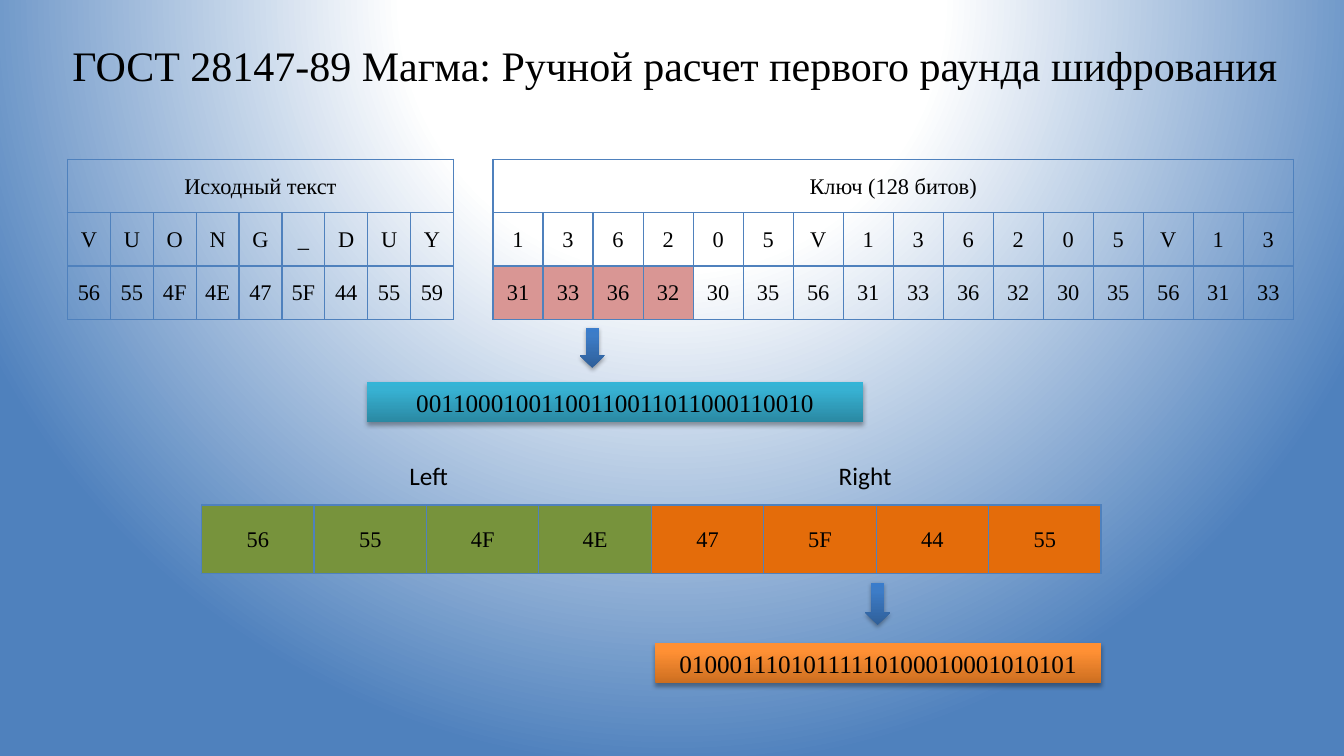
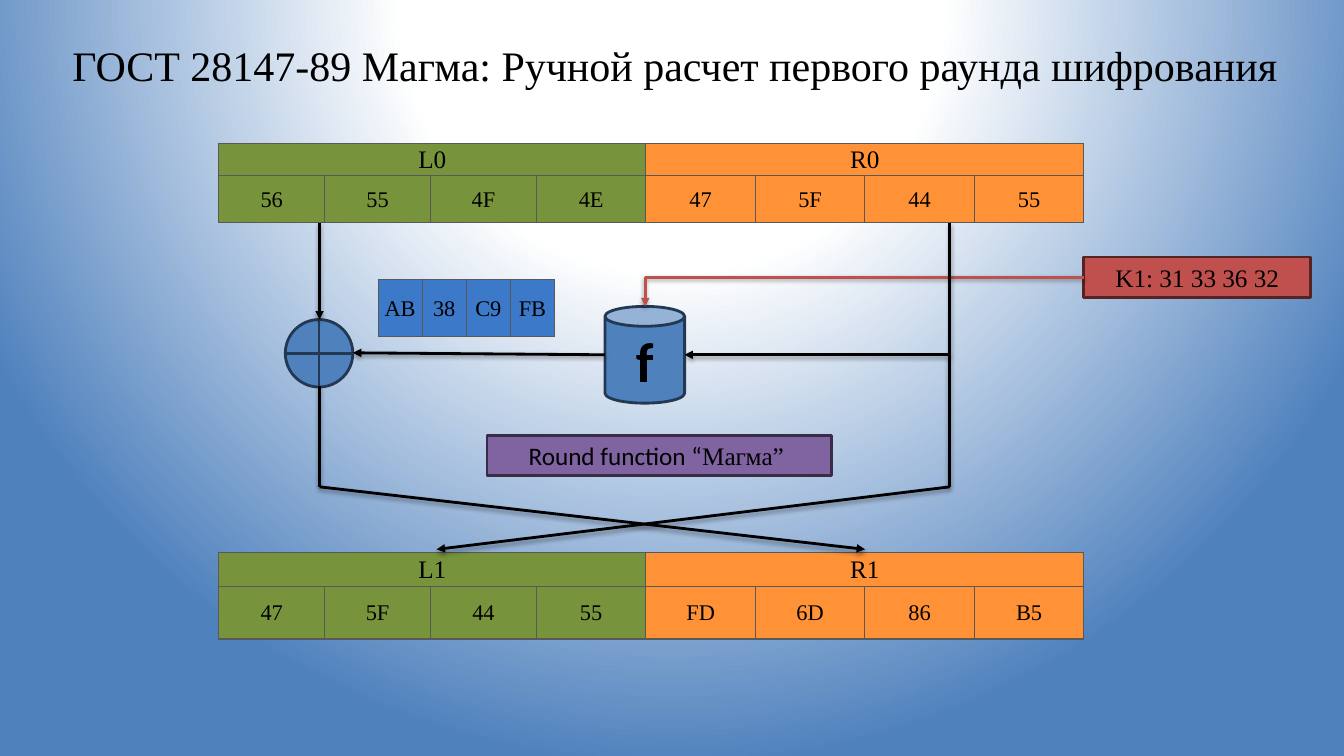
from dataclasses import dataclass

from lxml import etree
from pptx import Presentation, util as u
from pptx.dml.color import RGBColor
from pptx.enum import shapes as sh, text as tx
from pptx.oxml import ns

BLACK = RGBColor(0x00, 0x00, 0x00)
WHITE = RGBColor(0xFF, 0xFF, 0xFF)
BLUE = RGBColor(0x4F, 0x81, 0xBD)
NAVY = RGBColor(0x23, 0x39, 0x53)
AZURE = RGBColor(0x3C, 0x7A, 0xC9)
GRAY = RGBColor(0x59, 0x59, 0x59)
GREEN = RGBColor(0x77, 0x93, 0x3C)
RUST = RGBColor(0xE4, 0x6C, 0x0A)
ORANGE = RGBColor(0xFF, 0x91, 0x36)
PINK = RGBColor(0xD9, 0x96, 0x94)
RED = RGBColor(0xC0, 0x50, 0x4D)
MAROON = RGBColor(0x54, 0x23, 0x22)
PURPLE = RGBColor(0x80, 0x64, 0xA2)
PLUM = RGBColor(0x38, 0x2C, 0x47)

SKY_FADE = ((0, WHITE), (35, WHITE), (100, BLUE))
BLUE_FADE = ((0, RGBColor(0x2F, 0x5F, 0x99)), (80, RGBColor(0x3D, 0x7C, 0xC7)),
             (100, RGBColor(0x3A, 0x7C, 0xCB)))
TEAL_FADE = ((0, RGBColor(0x2A, 0x88, 0xA2)), (80, RGBColor(0x37, 0xB1, 0xD2)),
             (100, RGBColor(0x34, 0xB4, 0xD6)))
WARM_FADE = ((0, RGBColor(0xCC, 0x6E, 0x20)), (80, RGBColor(0xFF, 0x90, 0x34)),
             (100, ORANGE))

SERIF = "Times New Roman"
SANS = "Calibri"
TITLE = "ГОСТ 28147-89 Магма: Ручной расчет первого раунда шифрования "
RECT = sh.MSO_SHAPE.RECTANGLE
DOWN = sh.MSO_SHAPE.DOWN_ARROW


@dataclass
class Row:
    """One table row; its texts share the columns equally."""
    texts: list[str]
    height: float
    fills: list[RGBColor | None]
    size: int = 16


@dataclass
class Grid:
    left: float
    top: float
    widths: list[float]
    rows: list[Row]
    edge: RGBColor


@dataclass
class Box:
    kind: sh.MSO_SHAPE
    left: float
    top: float
    width: float
    height: float
    fill: RGBColor | tuple
    edge: RGBColor | None = None
    text: str = ""
    size: int = 18
    face: str = SERIF
    bold: bool = False


@dataclass
class Wire:
    start: tuple[float, float]
    end: tuple[float, float]
    head: bool = True
    color: RGBColor = BLACK
    bend: str = ""


def add(node, tag: str, **attrs):
    return etree.SubElement(node, ns.qn(tag), {k: str(v) for k, v in attrs.items()})


def fade(fill, root, stops: tuple, round_: bool = False) -> None:
    """Give a fill several stops, rising from the bottom or round a far centre."""
    fill.gradient()
    node = root.find(".//" + ns.qn("a:gradFill"))
    node.clear()
    node.set("rotWithShape", "1")
    group = add(node, "a:gsLst")
    for place, color in stops:
        add(add(group, "a:gs", pos=place * 1000), "a:srgbClr", val=color)
    if round_:
        add(add(node, "a:path", path="circle"), "a:fillToRect",
            l=50000, t=-80000, r=50000, b=180000)
    else:
        add(node, "a:lin", ang=16200000, scaled=0)


def cast(props, alpha: int, drop: int) -> None:
    """Put a soft shadow below; call it after fill and line are set."""
    shade = add(add(props, "a:effectLst"), "a:outerShdw", blurRad=40000,
                dist=drop, dir=5400000, rotWithShape=0)
    add(add(shade, "a:srgbClr", val=BLACK), "a:alpha", val=alpha * 1000)


def style(run, size: int, face: str, bold: bool = False) -> None:
    run.font.size = u.Pt(size)
    run.font.name = face
    run.font.bold = bold
    run.font.color.rgb = BLACK


def write(frame, text: str, size: int, face: str = SERIF, bold: bool = False) -> None:
    frame.text = text
    line = frame.paragraphs[0]
    line.alignment = tx.PP_ALIGN.CENTER
    for run in line.runs:
        style(run, size, face, bold)


def start(deck):
    """Add a slide with the common title."""
    slide = deck.slides.add_slide(deck.slide_layouts[5])
    title = slide.shapes.title
    title.left, title.top = u.Inches(0.5), u.Inches(0.38)
    title.width, title.height = u.Inches(12.5), u.Inches(0.52)
    frame = title.text_frame
    frame.auto_size = tx.MSO_AUTO_SIZE.NONE
    frame.vertical_anchor = tx.MSO_ANCHOR.TOP
    frame.margin_left = frame.margin_right = frame.margin_bottom = 0
    frame.margin_top = u.Inches(0.01)
    write(frame, TITLE, 30)
    frame.paragraphs[0].space_before = u.Pt(1)
    return slide


def paint(cell, fill: RGBColor | None, edge: RGBColor) -> None:
    props = cell._tc.get_or_add_tcPr()
    for side in "LRTB":
        line = add(props, "a:ln" + side, w=12700)
        add(add(line, "a:solidFill"), "a:srgbClr", val=edge)
    if fill is None:
        cell.fill.background()
    else:
        cell.fill.solid()
        cell.fill.fore_color.rgb = fill


def draw_grid(slide, grid: Grid) -> None:
    count = len(grid.widths)
    table = slide.shapes.add_table(
        len(grid.rows), count, u.Inches(grid.left), u.Inches(grid.top),
        u.Inches(sum(grid.widths)), u.Inches(sum(r.height for r in grid.rows))).table
    table.first_row = table.horz_banding = False
    for col, width in zip(table.columns, grid.widths):
        col.width = u.Inches(width)
    for y, row in enumerate(grid.rows):
        table.rows[y].height = u.Inches(row.height)
        span = count // len(row.texts)
        for x in range(count):
            cell = table.cell(y, x)
            paint(cell, row.fills[x // span], grid.edge)
            cell.margin_left = cell.margin_right = cell.margin_top = u.Inches(0.01)
            cell.margin_bottom = 0
            cell.vertical_anchor = tx.MSO_ANCHOR.MIDDLE
            if x % span == 0:
                write(cell.text_frame, row.texts[x // span], row.size)
                if span > 1:
                    cell.merge(table.cell(y, x + span - 1))


def draw_box(slide, box: Box):
    shape = slide.shapes.add_shape(box.kind, u.Inches(box.left), u.Inches(box.top),
                                   u.Inches(box.width), u.Inches(box.height))
    if isinstance(box.fill, RGBColor):
        shape.fill.solid()
        shape.fill.fore_color.rgb = box.fill
        shape.line.color.rgb = box.edge
        shape.line.width = u.Pt(2)
        shape.shadow.inherit = False
    else:
        fade(shape.fill, shape.element.spPr, box.fill)
        shape.line.fill.background()
        cast(shape.element.spPr, 35, 23000)
    if box.text:
        write(shape.text_frame, box.text, box.size, box.face, box.bold)
    return shape


def draw_wire(slide, wire: Wire) -> None:
    kind = sh.MSO_CONNECTOR.ELBOW if wire.bend else sh.MSO_CONNECTOR.STRAIGHT
    ends = (u.Inches(v) for v in wire.start + wire.end)
    link = slide.shapes.add_connector(kind, *ends)
    link.line.color.rgb = wire.color
    link.line.width = u.Pt(2)
    props = link.element.spPr
    if wire.bend:
        geom = props.find(ns.qn("a:prstGeom"))
        geom.set("prst", wire.bend)
        if wire.bend == "bentConnector3":
            add(geom.find(ns.qn("a:avLst")), "a:gd", name="adj1", fmla="val 0")
    if wire.head:
        add(props.find(ns.qn("a:ln")), "a:tailEnd", type="triangle")
    cast(props, 38, 20000)


def draw_label(slide, left: float, text: str) -> None:
    label = slide.shapes.add_textbox(u.Inches(left), u.Inches(4.52),
                                     u.Inches(1.22), u.Inches(0.4))
    label.text_frame.word_wrap = True
    write(label.text_frame, text, 18, SANS)


def input_grid(left: float, width: float, head: str, chars: str, codes: str,
               marked: int = 0) -> Grid:
    """Heading over characters over their hex codes, the first few marked."""
    count = len(chars)
    rows = [Row([head], 0.53, [None]),
            Row(list(chars), 0.53, [None] * count),
            Row(codes.split(), 0.53, [PINK] * marked + [None] * (count - marked))]
    return Grid(left, 1.58, [width / count] * count, rows, BLUE)


def half_grid(top: float, heads: list[str], codes: str, tall: tuple) -> Grid:
    """Left and right halves of a block, each under its name."""
    widths = [1.05] * 3 + [(8.58 - 3 * 1.05) / 5] * 5
    rows = [Row(heads, tall[0], [GREEN, ORANGE], 18),
            Row(codes.split(), tall[1], [GREEN] * 4 + [ORANGE] * 4)]
    return Grid(2.17, top, widths, rows, GRAY)


def build_input(deck) -> None:
    slide = start(deck)
    block = Row("56 55 4F 4E 47 5F 44 55".split(), 0.68, [GREEN] * 4 + [RUST] * 4)
    for grid in (
        input_grid(0.67, 3.83, "Исходный текст", "VUONG_DUY",
                   "56 55 4F 4E 47 5F 44 55 59"),
        input_grid(4.89, 7.94, "Ключ (128 битов)", "136205V136205V13",
                   "31 33 36 32 30 35 56 31 33 36 32 30 35 56 31 33", 4),
        Grid(2, 5.01, [8.92 / 8] * 8, [block], BLUE),
    ):
        draw_grid(slide, grid)
    draw_label(slide, 3.64, "Left")
    draw_label(slide, 7.97, "Right")
    for box in (
        Box(DOWN, 8.58, 5.78, 0.25, 0.42, BLUE_FADE),
        Box(RECT, 3.64, 3.79, 4.92, 0.4, TEAL_FADE,
            text="00110001001100110011011000110010"),
        Box(RECT, 6.5, 6.38, 4.42, 0.4, WARM_FADE,
            text="01000111010111110100010001010101"),
        Box(DOWN, 5.75, 3.25, 0.25, 0.4, BLUE_FADE),
    ):
        draw_box(slide, box)


def build_round(deck) -> None:
    slide = start(deck)
    draw_grid(slide, half_grid(1.42, ["L0", "R0"], "56 55 4F 4E 47 5F 44 55",
                               (0.32, 0.47)))
    draw_grid(slide, half_grid(5.48, ["L1", "R1"], "47 5F 44 55 FD 6D 86 B5",
                               (0.34, 0.52)))
    draw_grid(slide, Grid(3.75, 2.77, [1.75 / 4] * 4,
                          [Row("AB 38 C9 FB".split(), 0.57, [AZURE] * 4)], GRAY))
    for box in (
        Box(sh.MSO_SHAPE.CAN, 6, 3.04, 0.79, 0.96, BLUE, NAVY, "f", 40, SANS, True),
        Box(sh.MSO_SHAPE.FLOWCHART_OR, 2.83, 3.17, 0.67, 0.67, BLUE, NAVY),
        Box(RECT, 10.75, 2.55, 2.25, 0.4, RED, MAROON, "K1: 31 33 36 32"),
    ):
        draw_box(slide, box)
    note = draw_box(slide, Box(RECT, 4.83, 4.32, 3.42, 0.4, PURPLE, PLUM,
                               "Round function “", face=SANS))
    run = note.text_frame.paragraphs[0].add_run()
    run.text = "Магма” "
    style(run, 18, SERIF)
    for wire in (
        Wire((6, 3.52), (3.5, 3.5)),
        Wire((10.75, 2.75), (6.4, 3.04), color=RED, bend="bentConnector2"),
        Wire((9.42, 2.21), (6.79, 3.52), bend="bentConnector3"),
        Wire((3.17, 2.21), (3.17, 3.17)),
        Wire((3.17, 3.83), (3.17, 4.83), head=False),
        Wire((9.42, 3.52), (9.42, 4.83), head=False),
        Wire((3.17, 4.83), (8.58, 5.45)),
        Wire((9.42, 4.83), (4.33, 5.45)),
    ):
        draw_wire(slide, wire)


def main() -> None:
    deck = Presentation()
    deck.slide_width, deck.slide_height = u.Inches(13.33), u.Inches(7.5)
    master = deck.slide_master
    fade(master.background.fill, master.element, SKY_FADE, True)
    build_input(deck)
    build_round(deck)
    deck.save("out.pptx")


if __name__ == "__main__":
    main()
